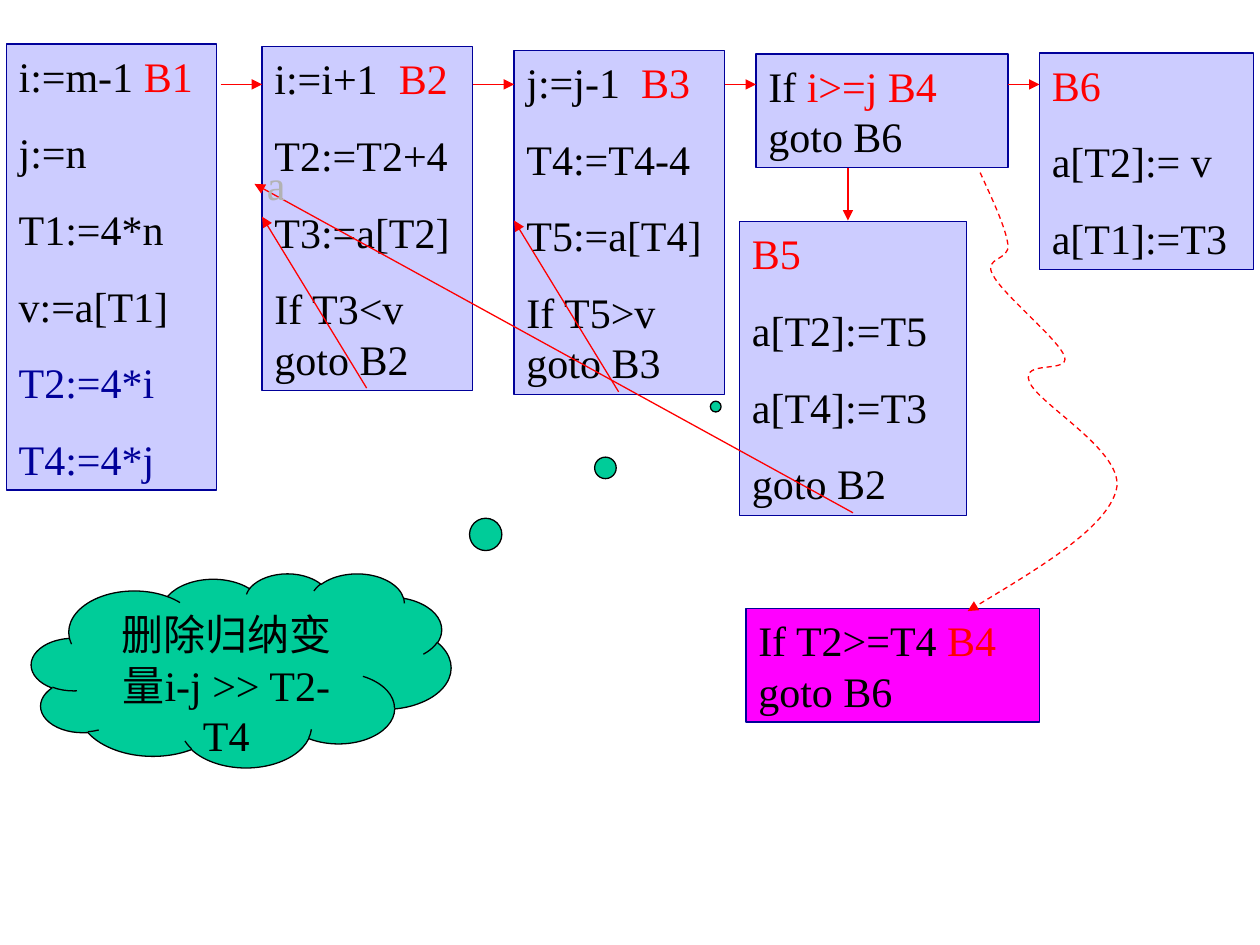
from pptx import Presentation
from pptx.dml.color import RGBColor
from pptx.enum.dml import MSO_LINE
from pptx.enum.shapes import MSO_CONNECTOR, MSO_SHAPE
from pptx.enum.text import MSO_ANCHOR, MSO_AUTO_SIZE, PP_ALIGN
from pptx.oxml.ns import qn
from pptx.util import Inches, Pt
from lxml.etree import SubElement

COLORS = {
    "box": "CCCCFF", "border": "000099", "navy": "000099", "red": "FF0000",
    "black": "000000", "gray": "B2B2B2", "cloud": "00CC99", "new": "FF00FF",
}
FONT = "Times New Roman"


def rgb(name):
    return RGBColor.from_string(COLORS[name])


def write(tf, paragraphs, align=PP_ALIGN.LEFT, before=15, fit=True):
    tf.word_wrap = True
    tf.vertical_anchor = MSO_ANCHOR.TOP
    tf.auto_size = MSO_AUTO_SIZE.SHAPE_TO_FIT_TEXT if fit else MSO_AUTO_SIZE.NONE
    for i, runs in enumerate(paragraphs):
        p = tf.paragraphs[0] if i == 0 else tf.add_paragraph()
        p.alignment = align
        if i:
            p.space_before = Pt(before)
        for text, color in runs:
            r = p.add_run()
            r.text = text
            r.font.name = FONT
            r.font.size = Pt(24)
            r.font.color.rgb = rgb(color)


def lines(*texts, color="black"):
    return [[(text, color)] for text in texts]


def add_filled(s, kind, at, fill, line):
    sp = s.shapes.add_shape(kind, *map(Inches, at))
    sp.shadow.inherit = False
    sp.fill.solid()
    sp.fill.fore_color.rgb = rgb(fill)
    sp.line.color.rgb = rgb(line)
    sp.line.width = Pt(0.75)
    return sp


def add_block(s, at, paragraphs, fill="box"):
    sp = add_filled(s, MSO_SHAPE.RECTANGLE, at, fill, "border")
    write(sp.text_frame, paragraphs)


def add_label(s, at, text, color):
    sp = s.shapes.add_textbox(*map(Inches, at))
    write(sp.text_frame, lines(text, color=color))


def add_cloud(s, at, text, tail):
    sp = add_filled(s, MSO_SHAPE.CLOUD_CALLOUT, at, "cloud", "black")
    sp.adjustments[0], sp.adjustments[1] = tail
    write(sp.text_frame, lines(text), align=PP_ALIGN.CENTER, fit=False)


def style_arrow(sp):
    sp.line.color.rgb = rgb("red")
    sp.line.width = Pt(0.75)
    SubElement(sp.line._get_or_add_ln(), qn("a:tailEnd"), type="triangle")


def add_arrow(s, start, end):
    c = s.shapes.add_connector(MSO_CONNECTOR.STRAIGHT, *map(Inches, start + end))
    style_arrow(c)
    SubElement(c._element.spPr, qn("a:effectLst"))


def add_curve(s, start, points):
    builder = s.shapes.build_freeform(*map(Inches, start))
    builder.add_line_segments([tuple(map(Inches, pt)) for pt in points], close=False)
    sp = builder.convert_to_shape()
    path = next(sp._element.iter(qn("a:path")))
    segments = path.findall(qn("a:lnTo"))
    for i in range(0, len(segments), 3):
        bezier = SubElement(path, qn("a:cubicBezTo"))
        for segment in segments[i:i + 3]:
            bezier.append(segment[0])
            path.remove(segment)
    sp.shadow.inherit = False
    sp.fill.background()
    sp.line.dash_style = MSO_LINE.DASH
    style_arrow(sp)


def main():
    prs = Presentation()
    prs.slide_width, prs.slide_height = Inches(10), Inches(7.5)
    s = prs.slides.add_slide(prs.slide_layouts[6])

    add_block(s, (0.05, 0.35, 1.67, 3.54),
              [[("i:=m-1 ", "black"), ("B1", "red")]]
              + lines("j:=n", "T1:=4*n", "v:=a[T1]")
              + lines("T2:=4*i", "T4:=4*j", color="navy"))
    add_block(s, (2.08, 0.37, 1.67, 2.73),
              [[("i:=i+1  ", "black"), ("B2", "red")]]
              + lines("T2:=T2+4", "T3:=a[T2]", "If T3<v goto B2"))
    add_block(s, (4.08, 0.4, 1.67, 2.73),
              [[("j:=j-1  ", "black"), ("B3", "red")]]
              + lines("T4:=T4-4", "T5:=a[T4]", "If T5>v goto B3"))
    add_block(s, (6, 0.43, 2, 0.9),
              [[("If ", "black"), ("i>=j B4", "red"), (" goto B6", "black")]])
    add_block(s, (8.25, 0.42, 1.7, 1.72),
              lines("B6", color="red") + lines("a[T2]:= v", "a[T1]:=T3"))
    add_block(s, (5.87, 1.76, 1.8, 2.33),
              lines("B5", color="red") + lines("a[T2]:=T5", "a[T4]:=T3", "goto B2"))

    for left, right in [(1.75, 2.08), (3.75, 4.08), (5.75, 6), (8, 8.25)]:
        add_arrow(s, (left, 0.67), (right, 0.67))
    add_arrow(s, (6.73, 1.33), (6.73, 1.75))
    add_arrow(s, (4.91, 3.11), (4.08, 1.75))
    add_arrow(s, (6.77, 4.07), (2.02, 1.46))
    add_label(s, (2.02, 1.21, 0.33, 0.5), "a", "gray")
    add_arrow(s, (2.91, 3.08), (2.08, 1.72))

    add_cloud(s, (0.25, 4.55, 3.33, 1.54), "删除归纳变量i-j >> T2-T4", (1.131, -1.359))
    add_block(s, (5.92, 4.83, 2.33, 0.9),
              [[("If T2>=T4 ", "black"), ("B4", "red"), (" goto B6", "black")]],
              fill="new")
    add_curve(s, (7.78, 1.37), [
        (7.88, 1.59), (7.98, 1.8), (8, 1.94),
        (8.02, 2.07), (7.8, 2.04), (7.88, 2.18),
        (7.95, 2.33), (8.4, 2.69), (8.45, 2.83),
        (8.49, 2.97), (8.1, 2.85), (8.17, 3.03),
        (8.24, 3.21), (8.94, 3.59), (8.86, 3.89),
        (8.78, 4.19), (8.23, 4.52), (7.68, 4.85),
    ])
    prs.save("out.pptx")


if __name__ == "__main__":
    main()
